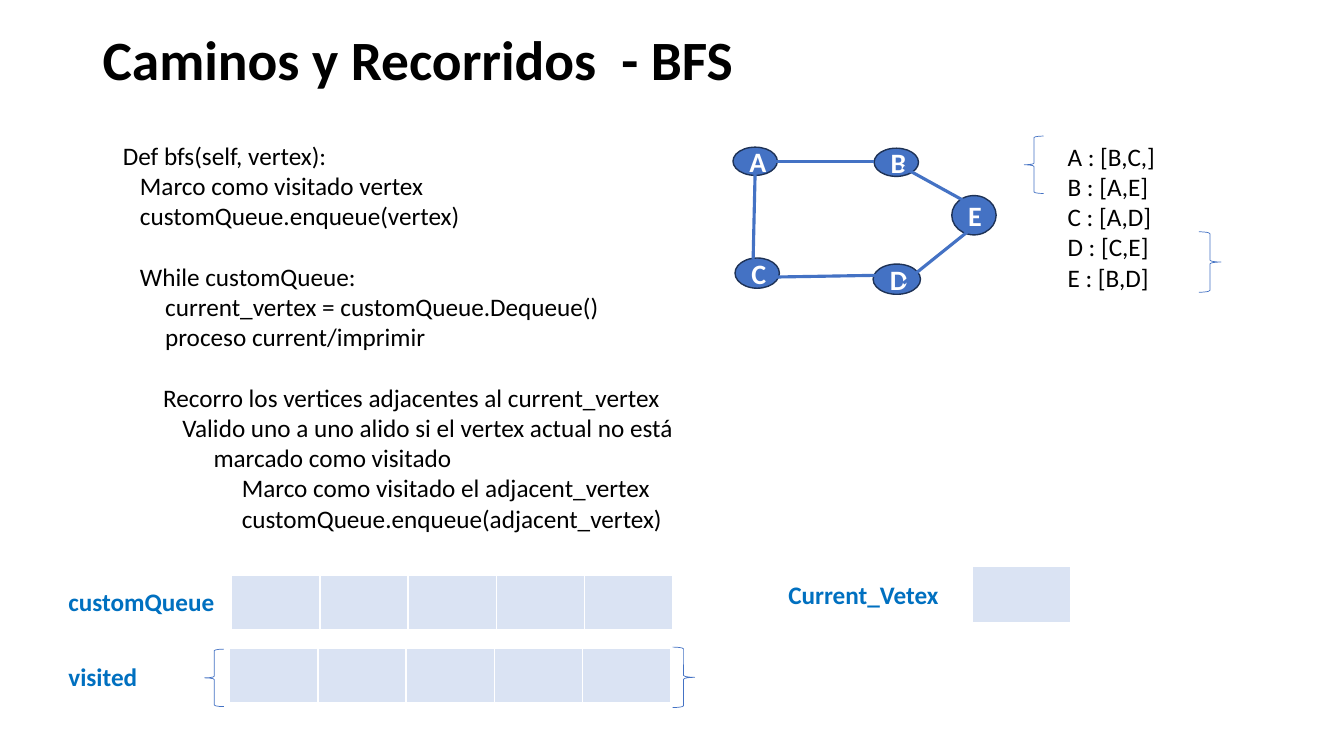
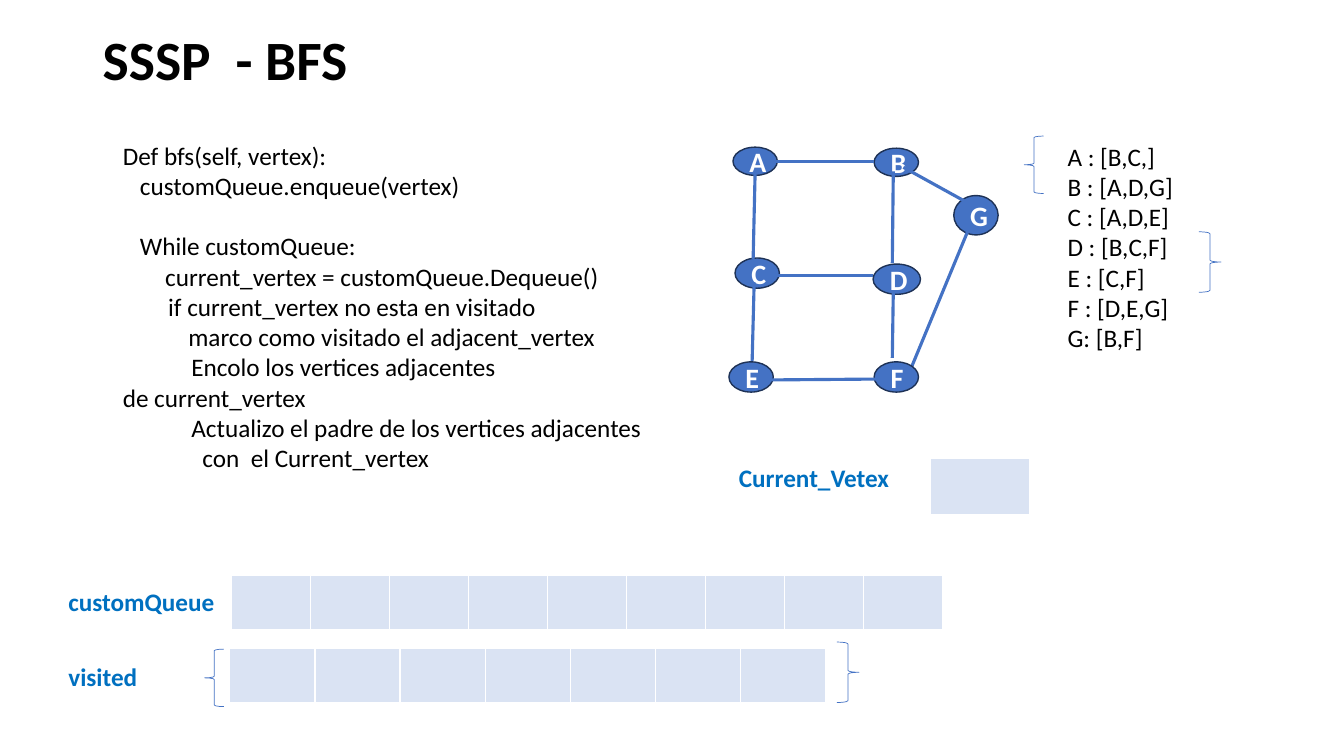
from pptx import Presentation
from pptx.dml.color import RGBColor
from pptx.enum.shapes import MSO_CONNECTOR, MSO_SHAPE
from pptx.enum.text import MSO_ANCHOR, PP_ALIGN
from pptx.oxml.ns import qn
from pptx.util import Inches, Pt

HUES = {"text": "000000", "label": "0070C0", "node": "4472C4", "rim": "1E3256",
        "cell": "DAE3F3", "white": "FFFFFF"}
FONT = "Calibri"
LINE = 21.6

NODES = {"A": (7.27, 1.46, 0.44, 0.28), "B": (8.67, 1.47, 0.44, 0.28),
         "C": (7.29, 2.56, 0.44, 0.3), "D": (8.66, 2.62, 0.47, 0.3)}
EDGES = [(7.68, 1.6, 8.67, 1.6), (8.96, 1.66, 9.63, 2.03), (7.49, 1.69, 7.47, 2.57)]
BRACES = [("left", 10.16, 1.35), ("right", 11.89, 2.3), ("left", 2.03, 6.44)]
SIZES = {"left": (MSO_SHAPE.LEFT_BRACE, 0.19, 0.57),
         "right": (MSO_SHAPE.RIGHT_BRACE, 0.22, 0.6)}

# text, first indent, wrapped indent, blank lines before
SLIDES = [
    {
        "title": "Caminos y Recorridos  - BFS",
        "width": 6.13,
        "code": [
            ("Def bfs(self, vertex):", 0, 0, 0),
            ("Marco como visitado vertex", 0.17, 0.17, 0),
            ("customQueue.enqueue(vertex)", 0.17, 0.17, 0),
            ("While customQueue:", 0.17, 0.17, 1),
            ("current_vertex = customQueue.Dequeue()", 0.42, 0.42, 0),
            ("proceso current/imprimir", 0.42, 0.42, 0),
            ("Recorro los vertices adjacentes al current_vertex", 0.4, 0.4, 1),
            ("Valido uno a uno alido si el vertex actual no está\vmarcado como visitado",
             0.59, 0.9, 0),
            ("Marco como visitado el adjacent_vertex", 1.18, 1.18, 0),
            ("customQueue.enqueue(adjacent_vertex)", 1.18, 1.18, 0),
        ],
        "graph": [
            ({**NODES, "E": (9.44, 1.94, 0.44, 0.39)},
             EDGES + [(7.59, 2.75, 8.78, 2.73), (8.96, 2.81, 9.62, 2.28)]),
        ],
        "links": ["A : [B,C,]", "B : [A,E]", "C : [A,D]", "D : [C,E]", "E : [B,D]"],
        "rows": [(2.3, 5.71, 4.37, 0.54, 5), (2.28, 6.43, 4.37, 0.54, 5),
                 (9.64, 5.62, 0.98, 0.56, 1)],
        "current": (7.72, 5.7),
        "close": ("right", 6.67, 6.42),
    },
    {
        "title": "SSSP  - BFS",
        "width": 5.66,
        "code": [
            ("Def bfs(self, vertex):", 0, 0, 0),
            ("customQueue.enqueue(vertex)", 0.17, 0.17, 0),
            ("While customQueue:", 0.17, 0.17, 1),
            ("current_vertex = customQueue.Dequeue()", 0.42, 0.42, 0),
            ("if current_vertex no esta en visitado", 0.45, 0.45, 0),
            ("marco como visitado el adjacent_vertex", 0.65, 0.65, 0),
            ("Encolo los vertices adjacentes\vde current_vertex", 0.68, 0, 0),
            ("Actualizo el padre de los vertices adjacentes\vcon  el Current_vertex",
             0.68, 0.79, 0),
        ],
        "graph": [
            ({**NODES, "G": (9.46, 1.94, 0.44, 0.39)},
             EDGES + [(7.67, 2.73, 8.66, 2.73), (9, 3.74, 9.6, 2.29)]),
            ({"F": (8.67, 3.59, 0.44, 0.3), "E": (7.23, 3.59, 0.44, 0.3)},
             [(7.57, 3.77, 8.77, 3.76), (7.46, 3.58, 7.48, 2.8),
              (8.85, 2.61, 8.86, 1.7), (8.85, 3.55, 8.86, 2.89)]),
        ],
        "links": ["A : [B,C,]", "B : [A,D,G]", "C : [A,D,E]", "D : [B,C,F]",
                  "E : [C,F]", "F : [D,E,G]", "G: [B,F]"],
        "rows": [(2.3, 5.71, 7.05, 0.54, 9), (2.28, 6.43, 5.91, 0.54, 7),
                 (9.23, 4.55, 0.98, 0.56, 1)],
        "current": (7.23, 4.54),
        "close": ("right", 8.3, 6.37),
    },
]


def hue(name):
    return RGBColor.from_string(HUES[name])


def place(*nums):
    return [Inches(num) for num in nums]


def style(frame, size, color, bold=False):
    for para in frame.paragraphs:
        for run in para.runs:
            run.font.name = FONT
            run.font.size = Pt(size)
            run.font.bold = bold
            run.font.color.rgb = hue(color)


def add_text(slide, box, text, size=18, color="text", bold=False):
    frame = slide.shapes.add_textbox(*place(*box)).text_frame
    frame.word_wrap = True
    frame.text = text
    style(frame, size, color, bold)
    return frame


def add_title(slide, text):
    frame = add_text(slide, (0.92, 0.24, 11.5, 0.76), text, 39.6, bold=True)
    frame.vertical_anchor = MSO_ANCHOR.MIDDLE
    frame.paragraphs[0].line_spacing = 0.9


def add_code(slide, width, lines):
    text = "\n".join(line[0] for line in lines)
    frame = add_text(slide, (1.12, 1.34, width, 4.9), text)
    for para, (_, first, rest, gap) in zip(frame.paragraphs, lines):
        para.space_before = Pt(gap * LINE)
        props = para._p.get_or_add_pPr()
        props.set("marL", str(Inches(rest)))
        props.set("indent", str(Inches(first) - Inches(rest)))


def add_node(slide, name, box):
    node = slide.shapes.add_shape(MSO_SHAPE.OVAL, *place(*box))
    node.shadow.inherit = False
    node.fill.solid()
    node.fill.fore_color.rgb = hue("node")
    node.line.color.rgb = hue("rim")
    node.line.width = Pt(1)
    frame = node.text_frame
    frame.text = name
    frame.vertical_anchor = MSO_ANCHOR.MIDDLE
    frame.paragraphs[0].alignment = PP_ALIGN.CENTER
    style(frame, 20, "white", True)


def add_edge(slide, ends):
    edge = slide.shapes.add_connector(MSO_CONNECTOR.STRAIGHT, *place(*ends))
    edge.line.color.rgb = hue("node")
    edge.line.width = Pt(2.25)
    props = edge._element.spPr
    props.append(props.makeelement(qn("a:effectLst"), {}))


def add_brace(slide, side, left, top):
    kind, width, height = SIZES[side]
    brace = slide.shapes.add_shape(kind, *place(left, top, width, height))
    brace.shadow.inherit = False
    brace.fill.background()
    brace.line.color.rgb = hue("node")
    brace.line.width = Pt(0.5)


def add_row(slide, left, top, width, height, count):
    table = slide.shapes.add_table(1, count, *place(left, top, width, height)).table
    for cell in table.iter_cells():
        cell.fill.solid()
        cell.fill.fore_color.rgb = hue("cell")


def build(deck, data):
    slide = deck.slides.add_slide(deck.slide_layouts[6])
    add_title(slide, data["title"])
    for nodes, edges in data["graph"]:
        for name, box in nodes.items():
            add_node(slide, name, box)
        for ends in edges:
            add_edge(slide, ends)
    add_text(slide, (10.49, 1.35, 1.46, 2.52), "\n".join(data["links"]))
    add_code(slide, data["width"], data["code"])
    for row in data["rows"]:
        add_row(slide, *row)
    labels = [("customQueue", 0.58, 5.77), ("visited", 0.58, 6.51),
              ("Current_Vetex", *data["current"])]
    for text, left, top in labels:
        add_text(slide, (left, top, 2, 0.4), text, color="label", bold=True)
    for brace in BRACES + [data["close"]]:
        add_brace(slide, *brace)


def main():
    deck = Presentation()
    deck.slide_width, deck.slide_height = place(13.33, 7.5)
    for data in SLIDES:
        build(deck, data)
    deck.save("out.pptx")


if __name__ == "__main__":
    main()
